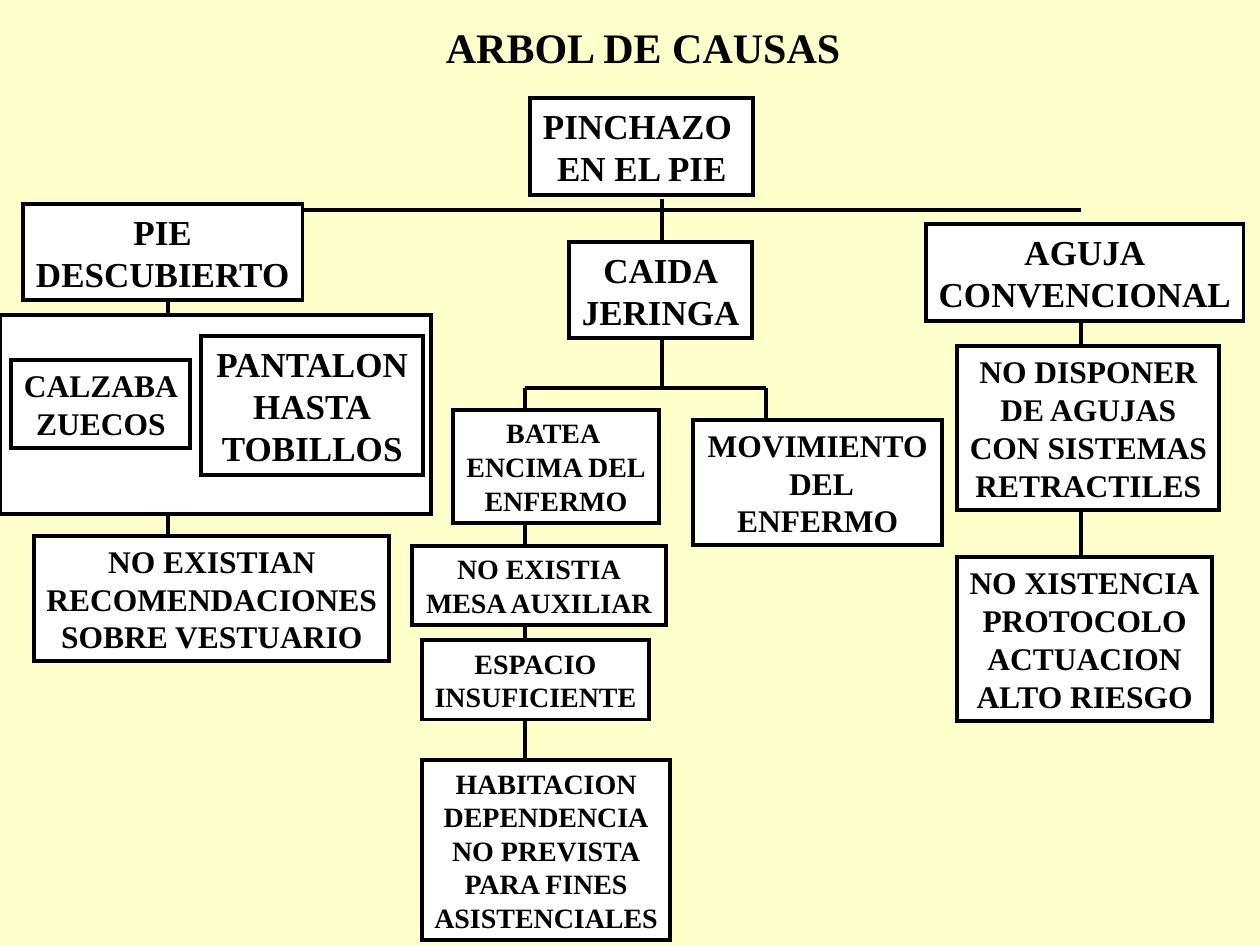
from lxml.etree import SubElement
from pptx import Presentation
from pptx.dml.color import RGBColor
from pptx.enum.shapes import MSO_CONNECTOR, MSO_SHAPE
from pptx.enum.text import MSO_ANCHOR, MSO_AUTO_SIZE, PP_ALIGN
from pptx.oxml.ns import qn
from pptx.util import Cm, Pt

COLORS = {"background": "FFFFCC", "box": "FFFFFF", "ink": "000000"}
LINE_WIDTH = Pt(2.25)
SIDE_MARGIN = Cm(0.15)
TRUNK_X, LEFT_X, RIGHT_X = 13.34, 3.39, 21.8
BATEA_X, MOVIMIENTO_X = 10.58, 15.45
TOP_BRANCH_Y, LOW_BRANCH_Y = 4.23, 7.83

# x1, y1, x2, y2 in centimetres
BRANCHES = [
    (TRUNK_X, 4.02, TRUNK_X, LOW_BRANCH_Y),
    (LEFT_X, TOP_BRANCH_Y, RIGHT_X, TOP_BRANCH_Y),
    (RIGHT_X, 5.29, RIGHT_X, 11.43),
    (LEFT_X, TOP_BRANCH_Y, LEFT_X, 11.64),
    (BATEA_X, LOW_BRANCH_Y, MOVIMIENTO_X, LOW_BRANCH_Y),
    (BATEA_X, LOW_BRANCH_Y, BATEA_X, 15.45),
    (MOVIMIENTO_X, LOW_BRANCH_Y, MOVIMIENTO_X, 9.1),
]

# left, top, width in centimetres, text size in points, lines
CAUSES = [
    (10.69, 1.98, 4.5, 20, ["PINCHAZO ", "EN EL PIE"]),
    (0.46, 4.11, 5.64, 20, ["PIE", "DESCUBIERTO"]),
    (4.06, 6.78, 4.47, 20, ["PANTALON", "HASTA", "TOBILLOS"]),
    (0.23, 7.26, 3.61, 18, ["CALZABA", "ZUECOS"]),
    (0.69, 10.8, 7.16, 18, ["NO EXISTIAN", "RECOMENDACIONES", "SOBRE VESTUARIO"]),
    (11.48, 4.88, 3.68, 20, ["CAIDA", "JERINGA"]),
    (9.14, 8.26, 4.14, 16, ["BATEA ", "ENCIMA DEL", "ENFERMO"]),
    (8.31, 11, 5.11, 16, ["NO EXISTIA", "MESA AUXILIAR"]),
    (8.51, 12.9, 4.57, 16, ["ESPACIO", "INSUFICIENTE"]),
    (8.51, 15.32, 5, 16, ["HABITACION", "DEPENDENCIA", "NO PREVISTA",
                          "PARA FINES", "ASISTENCIALES"]),
    (13.97, 8.46, 5.03, 18, ["MOVIMIENTO", " DEL", "ENFERMO"]),
    (18.67, 4.52, 6.4, 20, ["AGUJA", "CONVENCIONAL"]),
    (19.3, 6.98, 5.28, 18, ["NO DISPONER", "DE AGUJAS", "CON SISTEMAS", "RETRACTILES"]),
    (19.3, 11.23, 5.13, 18, ["NO XISTENCIA", "PROTOCOLO", "ACTUACION", "ALTO RIESGO"]),
]


def color(name):
    return RGBColor.from_string(COLORS[name])


def set_attributes(target, values):
    for name, value in values.items():
        setattr(target, name, value)


def text_height(size, lines):
    """Height in centimetres of lines at 1.2 spacing plus both margins."""
    return len(lines) * size * 1.2 / 72 * 2.54 + 0.25


def write_lines(box, size, lines):
    frame = box.text_frame
    set_attributes(frame, {
        "word_wrap": False,
        "auto_size": MSO_AUTO_SIZE.SHAPE_TO_FIT_TEXT,
        "vertical_anchor": MSO_ANCHOR.TOP,
        "margin_left": SIDE_MARGIN,
        "margin_right": SIDE_MARGIN,
    })
    frame.text = "\n".join(lines)
    for para in frame.paragraphs:
        para.alignment = PP_ALIGN.CENTER
        for span in para.runs:
            set_attributes(span.font, {
                "name": "Times New Roman", "size": Pt(size), "bold": True})
            span.font.color.rgb = color("ink")


def draw_line(line):
    line.width = LINE_WIDTH
    line.color.rgb = color("ink")


def add_branch(page, x1, y1, x2, y2):
    branch = page.shapes.add_connector(
        MSO_CONNECTOR.STRAIGHT, Cm(x1), Cm(y1), Cm(x2), Cm(y2))
    draw_line(branch.line)
    SubElement(branch._element.spPr, qn("a:effectLst"))


def add_box(page, left, top, width, height):
    box = page.shapes.add_shape(
        MSO_SHAPE.RECTANGLE, Cm(left), Cm(top), Cm(width), Cm(height))
    box.shadow.inherit = False
    box.fill.solid()
    box.fill.fore_color.rgb = color("box")
    draw_line(box.line)
    SubElement(box._element.spPr.find(qn("a:ln")), qn("a:miter"), lim="800000")
    return box


def add_cause(page, left, top, width, size, lines):
    box = add_box(page, left, top, width, text_height(size, lines))
    write_lines(box, size, lines)


def add_title(page, left, top, width, size, title):
    box = page.shapes.add_textbox(
        Cm(left), Cm(top), Cm(width), Cm(text_height(size, [title])))
    write_lines(box, size, [title])


def main():
    deck = Presentation()
    set_attributes(deck, {"slide_width": Cm(25.4), "slide_height": Cm(19.05)})
    page = deck.slides.add_slide(deck.slide_layouts[6])
    page.background.fill.solid()
    page.background.fill.fore_color.rgb = color("background")
    for branch in BRANCHES:
        add_branch(page, *branch)
    add_box(page, 0, 6.35, 8.69, 4.01)
    for cause in CAUSES:
        add_cause(page, *cause)
    add_title(page, 8.71, 0.3, 8.51, 24, "ARBOL DE CAUSAS")
    deck.save("out.pptx")


if __name__ == "__main__":
    main()
